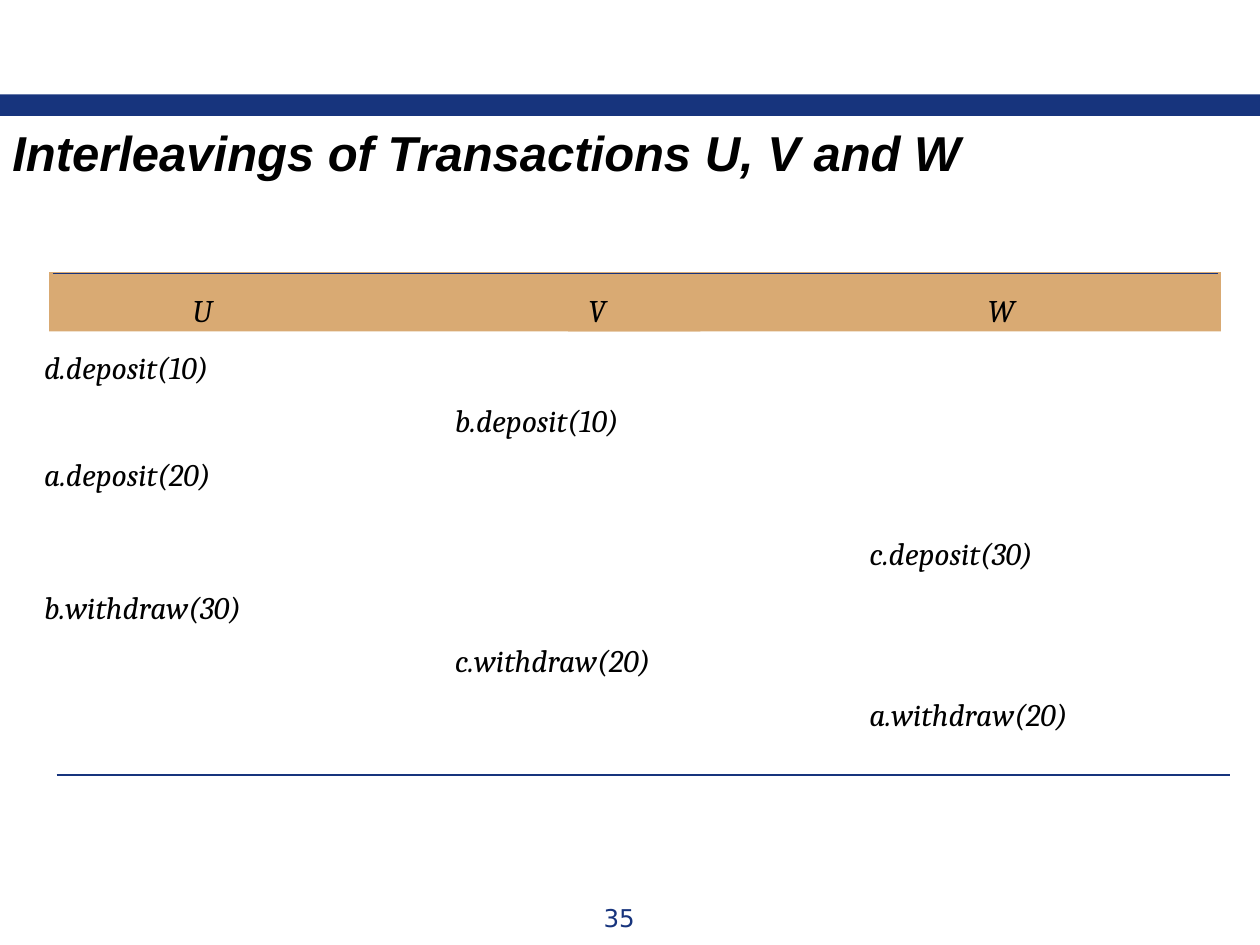
from lxml import etree
from pptx import Presentation
from pptx.dml.color import RGBColor
from pptx.enum import shapes, text
from pptx.oxml.ns import qn
from pptx.util import Inches, Pt

# Content
TITLE = "Interleavings of Transactions U, V and W"
PAGE = "35"
HEADERS = [("U", 1.53, 0.2), ("V", 4.67, 0.17), ("W", 7.84, 0.23)]  # left, width
STEPS = [  # column, operation, width, in order of time
    ("U", "d.deposit(10)", 1.44),
    ("V", "b.deposit(10)", 1.44),
    ("U", "a.deposit(20)", 1.44),
    ("W", "c.deposit(30)", 1.42),
    ("U", "b.withdraw(30)", 1.68),
    ("V", "c.withdraw(20)", 1.66),
    ("W", "a.withdraw(20)", 1.68),
]
COLORS = {"navy": "17347D", "tan": "D9AA73", "black": "000000"}

# Layout
COLUMN_LEFT = {"U": 0.35, "V": 3.61, "W": 6.9}
HEADER_TOP, FIRST_STEP, STEP_GAP = 2.31, 2.76, 0.425
PAUSE_AFTER, PAUSE = 3, 0.205  # extra gap before the fourth step
RULES = [(0.42, 9.67, 2.17), (0.45, 9.76, 6.15)]

prs = Presentation()
prs.slide_width, prs.slide_height = Inches(10), Inches(7.5)
s = prs.slides.add_slide(prs.slide_layouts[6])


def color(name):
    return RGBColor.from_string(COLORS[name])


def add_bar(left, top, width, height, fill):
    sp = s.shapes.add_shape(shapes.MSO_SHAPE.RECTANGLE, *map(Inches, (left, top, width, height)))
    sp.shadow.inherit = False
    sp.fill.solid()
    sp.fill.fore_color.rgb = color(fill)
    sp.line.fill.background()


def add_text(content, left, top, width, height, font="Cambria", size=18, fill="black",
             bold=False, italic=True, wrap=False, inset=True, align=text.PP_ALIGN.LEFT):
    tf = s.shapes.add_textbox(*map(Inches, (left, top, width, height))).text_frame
    tf.word_wrap = wrap
    if not wrap:
        tf.auto_size = text.MSO_AUTO_SIZE.SHAPE_TO_FIT_TEXT
    if not inset:
        tf.margin_left = tf.margin_right = tf.margin_top = tf.margin_bottom = 0
    p = tf.paragraphs[0]
    p.alignment = align
    r = p.add_run()
    r.text = content
    r.font.name, r.font.size = font, Pt(size)
    r.font.bold, r.font.italic = bold, italic
    r.font.color.rgb = color(fill)


# Top band, page number and title
add_bar(0, 0.75, 10, 0.17, "navy")
add_text(PAGE, 3.75, 7.12, 2.33, 0.34, "DejaVu Sans", 14, "navy",
         italic=False, wrap=True, align=text.PP_ALIGN.CENTER)
add_text(TITLE, 0, 0.92, 7.82, 0.57, "Arial", 28, bold=True)

# Header band, in two overlapping halves
for left, width in [(4.51, 5.18), (0.39, 5.17)]:
    add_bar(left, 2.16, width, 0.47, "tan")
for name, left, width in HEADERS:
    add_text(name, left, HEADER_TOP, width, 0.3, inset=False)

# Operations, one row per step
for i, (column, operation, width) in enumerate(STEPS):
    top = FIRST_STEP + i * STEP_GAP + (PAUSE if i >= PAUSE_AFTER else 0)
    add_text(operation, COLUMN_LEFT[column], top, width, 0.3, inset=False)

# Rules above and below the schedule
for x1, x2, y in RULES:
    line = s.shapes.add_connector(shapes.MSO_CONNECTOR.STRAIGHT, *map(Inches, (x1, y, x2, y)))
    line.line.color.rgb = color("navy")
    line.line.width = Pt(0.75)
    etree.SubElement(line._element.spPr, qn("a:effectLst"))

prs.save("out.pptx")
